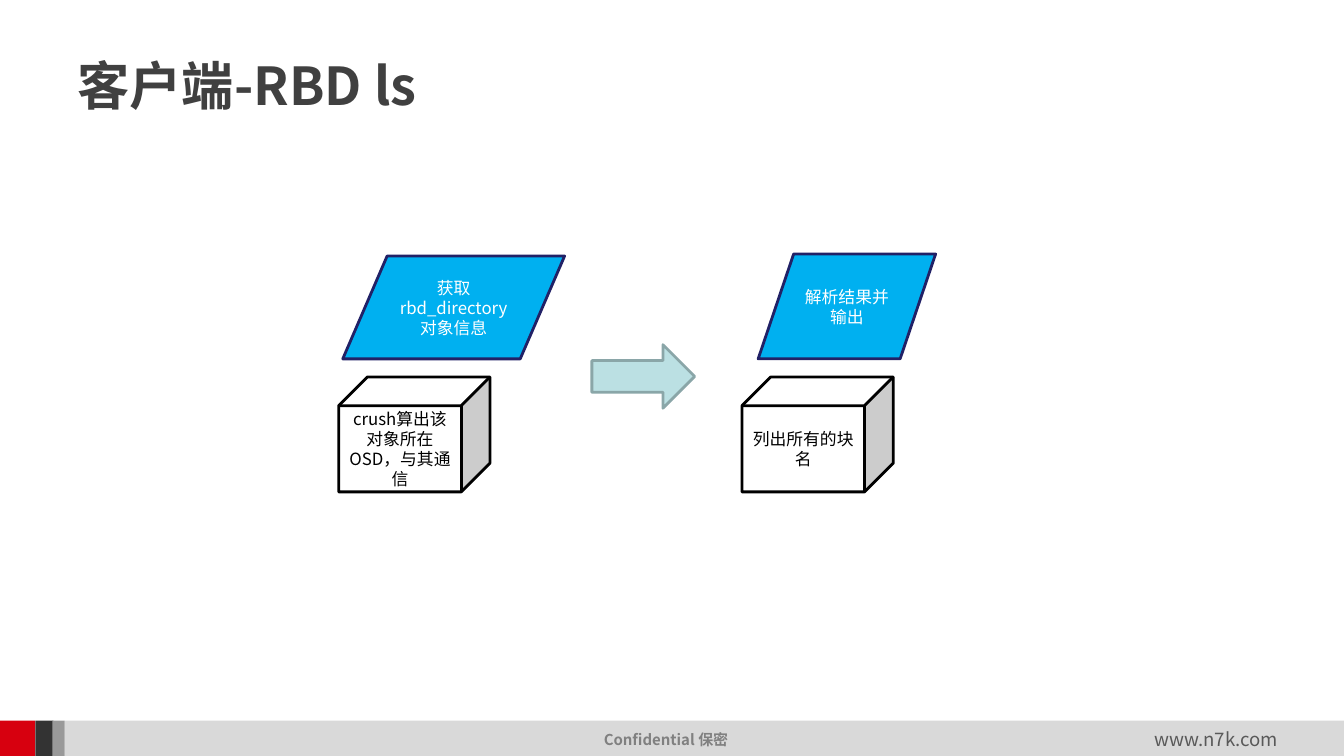
from lxml.etree import SubElement
from pptx import Presentation
from pptx.dml.color import RGBColor
from pptx.enum.shapes import MSO_SHAPE
from pptx.enum.text import MSO_ANCHOR, PP_ALIGN
from pptx.oxml.ns import qn
from pptx.util import Inches, Pt

FONT = "Noto Sans CJK SC"
BAR_TOP, BAR_HEIGHT = 7.15, 0.35


def color(value):
    return RGBColor.from_string(value)


def write(shape, text, size, ink, bold=False, align=PP_ALIGN.LEFT):
    frame = shape.text_frame
    frame.word_wrap = True
    frame.vertical_anchor = MSO_ANCHOR.MIDDLE
    para = frame.paragraphs[0]
    para.alignment = align
    span = para.add_run()
    span.text = text
    span.font.name = FONT
    span.font.size = Pt(size)
    span.font.bold = bold
    span.font.color.rgb = color(ink)
    SubElement(span.font._element, qn("a:ea"), typeface=FONT)


def add_label(page, area, text, size, ink, bold=False):
    box = page.shapes.add_textbox(*map(Inches, area))
    write(box, text, size, ink, bold)


def add_block(page, kind, area, fill, line=None):
    block = page.shapes.add_shape(kind, *map(Inches, area))
    block.shadow.inherit = False
    block.fill.solid()
    block.fill.fore_color.rgb = color(fill)
    if line:
        block.line.color.rgb = color(line)
        block.line.width = Pt(2)
    else:
        block.line.fill.background()
    return block


def add_action(page, area, text):
    action = add_block(page, MSO_SHAPE.FLOWCHART_DATA, area, "00B0F0", "212166")
    write(action, text, 12, "FFFFFF", align=PP_ALIGN.CENTER)


def add_cube(page, left, text):
    cube = add_block(page, MSO_SHAPE.CUBE, (left, 3.74, 1.5, 1.14), "FFFFFF", "000000")
    write(cube, text, 12, "000000", align=PP_ALIGN.CENTER)


def add_footer(page):
    bands = [(0.64, 12.69, "D9D9D9"), (0, 0.35, "D7000F"),
             (0.35, 0.18, "333333"), (0.52, 0.12, "999999")]
    for left, width, fill in bands:
        add_block(page, MSO_SHAPE.RECTANGLE, (left, BAR_TOP, width, BAR_HEIGHT), fill)
    add_label(page, (5.89, 7.2, 1.46, 0.28), "Confidential\u00a0保密", 10.7, "808080", True)
    add_label(page, (11.35, 7.17, 1.43, 0.33), "www.n7k.com", 13.3, "595959")


def main():
    deck = Presentation()
    deck.slide_width, deck.slide_height = Inches(13.33), Inches(7.5)
    page = deck.slides.add_slide(deck.slide_layouts[6])
    add_footer(page)
    add_label(page, (0.67, 0.5, 11.25, 0.67), "客户端-RBD ls", 37.3, "404040", True)
    add_action(page, (3.4, 2.54, 2.2, 1.02), "获取rbd_directory对象信息")
    add_cube(page, 3.36, "crush算出该对象所在OSD，与其通信")
    add_block(page, MSO_SHAPE.RIGHT_ARROW, (5.87, 3.42, 1.02, 0.63), "BBE0E3", "8AA6A8")
    add_action(page, (7.52, 2.52, 1.76, 1.04), "解析结果并输出")
    add_cube(page, 7.36, "列出所有的块名")
    deck.save("out.pptx")


if __name__ == "__main__":
    main()
